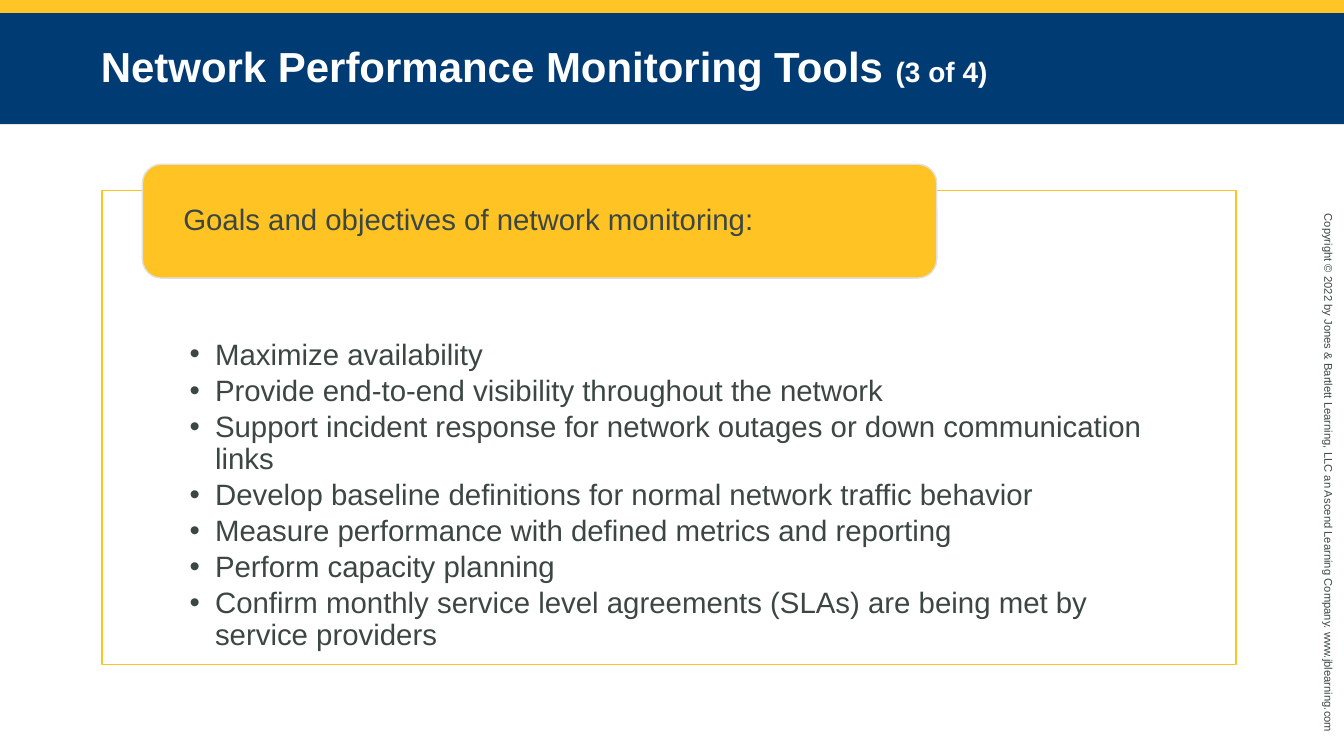
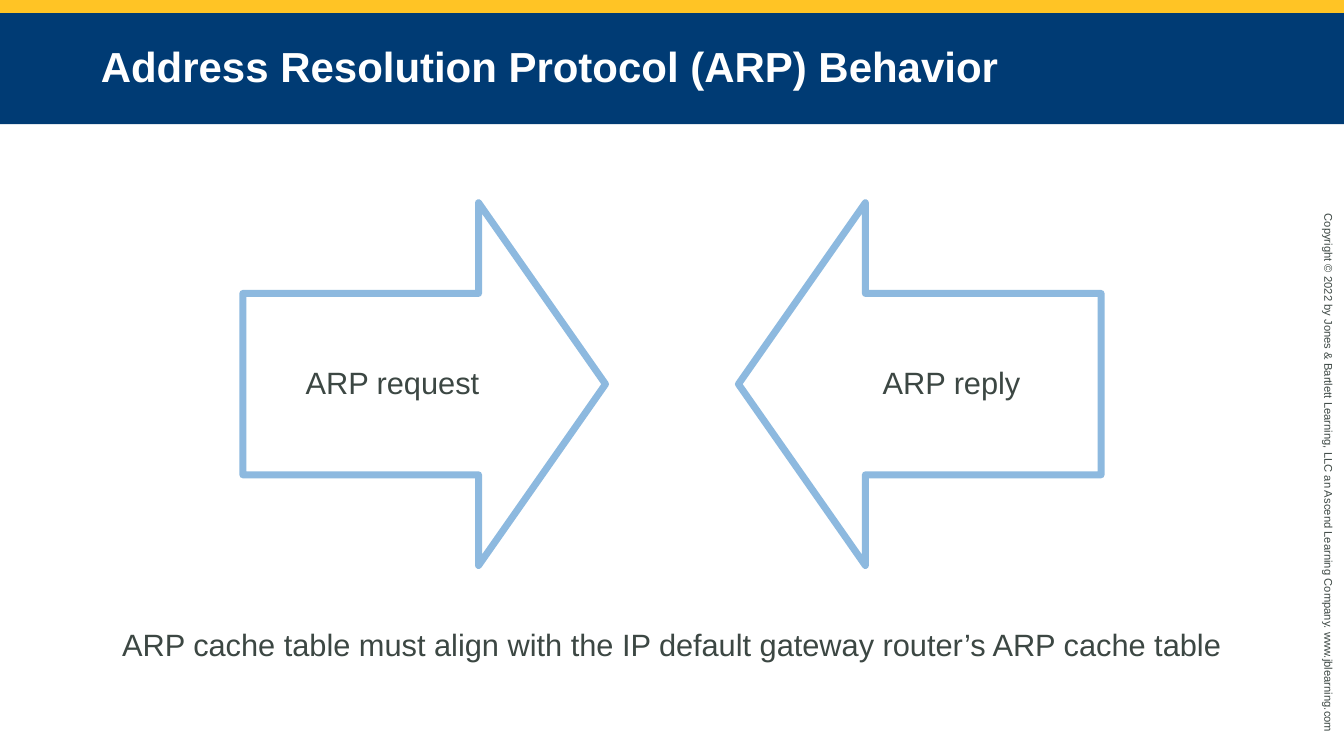
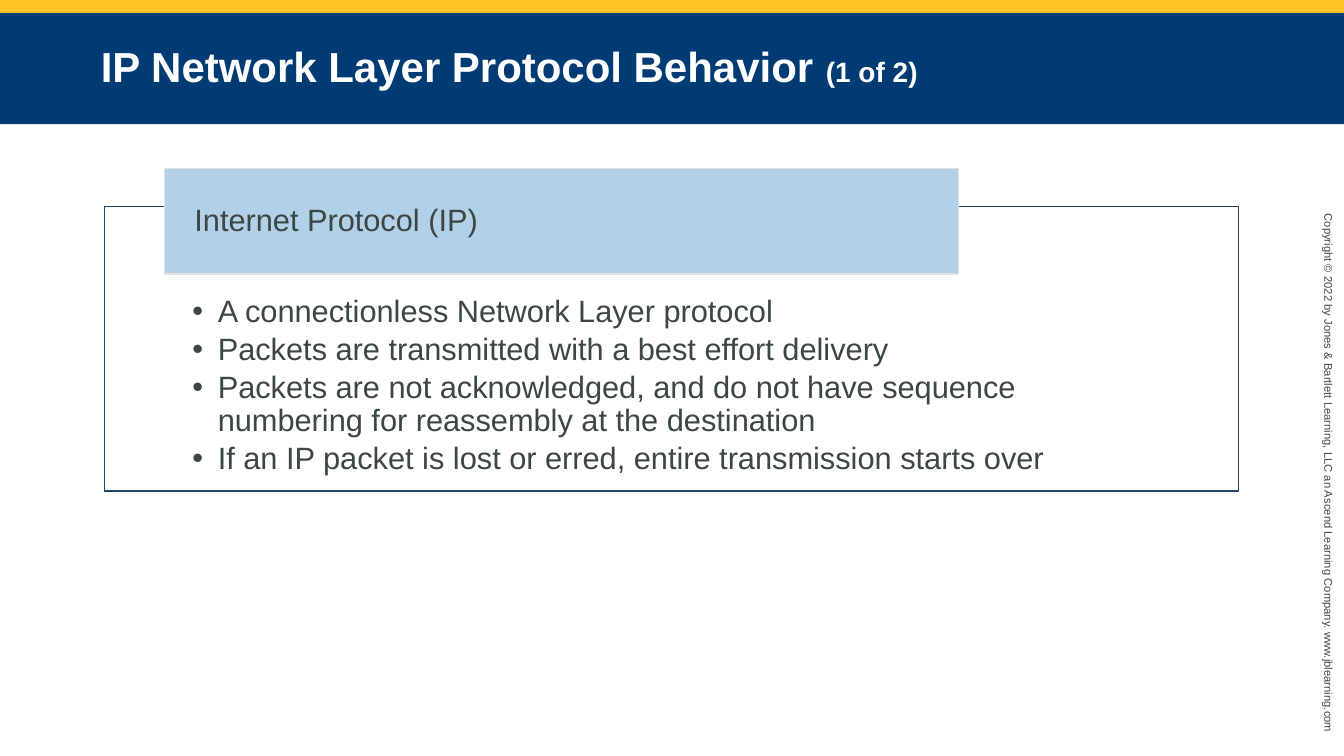
from lxml.etree import SubElement
from pptx import Presentation
from pptx.dml.color import RGBColor
from pptx.enum.shapes import MSO_SHAPE
from pptx.enum.text import MSO_ANCHOR, PP_ALIGN
from pptx.oxml.ns import qn
from pptx.util import Cm, Pt

SLIDE_W, SLIDE_H = 33.87, 19.05
FONT = "Arial"
WHITE, INK, NAVY = "FFFFFF", "3C4743", "003B74"
STRIPE, GOLD, FRAME_BLUE = "FFC425", "FFC324", "1D4568"
PALE_BLUE, ARROW_BLUE, LABEL_EDGE = "B3D0E9", "8DB9DF", "E1E1E1"
COPYRIGHT = ("Copyright © 2022 by Jones & Bartlett Learning, LLC an Ascend "
             "Learning Company. www.jblearning.com")


def color(hex_code):
    return RGBColor.from_string(hex_code)


def add_box(slide, box, kind=MSO_SHAPE.RECTANGLE, fill=None, line=None, width=1):
    shape = slide.shapes.add_shape(kind, *[Cm(length) for length in box])
    shape.shadow.inherit = False
    if fill:
        shape.fill.solid()
        shape.fill.fore_color.rgb = color(fill)
    else:
        shape.fill.background()
    if line:
        shape.line.color.rgb = color(line)
        shape.line.width = Pt(width)
    else:
        shape.line.fill.background()
    return shape


def set_frame(shape, insets, anchor=MSO_ANCHOR.MIDDLE):
    frame = shape.text_frame
    frame.word_wrap = True
    frame.vertical_anchor = anchor
    (frame.margin_left, frame.margin_top,
     frame.margin_right, frame.margin_bottom) = [Cm(inset) for inset in insets]
    return frame


def write(paragraph, runs, ink=INK, bold=False, align=PP_ALIGN.LEFT, spacing=0.9):
    paragraph.alignment = align
    paragraph.line_spacing = spacing
    for text, size in runs:
        run = paragraph.add_run()
        run.text = text
        run.font.name = FONT
        run.font.size = Pt(size)
        run.font.bold = bold
        run.font.color.rgb = color(ink)


def add_bullet(paragraph):
    properties = paragraph._p.get_or_add_pPr()
    properties.set("marL", str(Cm(0.64)))
    properties.set("indent", str(-Cm(0.64)))
    SubElement(properties, qn("a:buFont")).set("typeface", FONT)
    SubElement(properties, qn("a:buChar")).set("char", "•")


def add_text(slide, box, text, size, align=PP_ALIGN.LEFT):
    note = slide.shapes.add_textbox(*[Cm(length) for length in box])
    frame = set_frame(note, (0.25, 0.13, 0.25, 0.13), MSO_ANCHOR.TOP)
    write(frame.paragraphs[0], [(text, size)], align=align, spacing=1.0)
    return note


def start_slide(deck, title, part=None):
    slide = deck.slides.add_slide(deck.slide_layouts[6])
    # Gold stripe and copyright along the right edge
    add_box(slide, (0, 0, SLIDE_W, 0.33), fill=STRIPE)
    add_text(slide, (26.52, 11.79, 13.92, 0.61), COPYRIGHT, 8).rotation = 90
    # Title band
    band = add_box(slide, (0, 0.33, SLIDE_W, 2.8), fill=NAVY)
    runs = [(title + " ", 30), (part, 20)] if part else [(title, 30)]
    frame = set_frame(band, (2.54, 0.13, 2.54, 0.13))
    write(frame.paragraphs[0], runs, WHITE, bold=True, spacing=0.95)
    return slide


def add_panel(slide, box, heading, bullets, size, edge, text_top,
              label_kind, label_fill, label_offset, label_height, label_inset):
    """Outlined bullet list with a heading label over its top edge."""
    left, top = box[:2]
    panel = add_box(slide, box, line=edge)
    frame = set_frame(panel, (2.21, text_top, 2.21, 0.42), MSO_ANCHOR.TOP)
    for index, bullet in enumerate(bullets):
        paragraph = frame.add_paragraph() if index else frame.paragraphs[0]
        add_bullet(paragraph)
        write(paragraph, [(bullet, size)])
        paragraph.space_after = Pt(0.15 * size)
    # Heading label
    dx, dy = label_offset
    label = add_box(slide, (left + dx, top + dy, 20.02, label_height),
                    label_kind, label_fill, LABEL_EDGE)
    label_frame = set_frame(label, (label_inset, 0, label_inset, 0))
    write(label_frame.paragraphs[0], [(heading, size)])


def add_arrow_pair(slide, box, side):
    """Two facing arrows at the left and right ends of the box."""
    left, top, width = box
    arrows = [(left, MSO_SHAPE.RIGHT_ARROW, "ARP request"),
              (left + width - side, MSO_SHAPE.LEFT_ARROW, "ARP reply")]
    for x, kind, message in arrows:
        arrow = add_box(slide, (x, top, side, side), kind, line=ARROW_BLUE, width=5)
        arrow.adjustments[0] = 0.5
        arrow.adjustments[1] = 0.35
        frame = set_frame(arrow, [0.43] * 4)
        write(frame.paragraphs[0], [(message, 22)], align=PP_ALIGN.CENTER)


def monitoring_slide(deck):
    slide = start_slide(deck, "Network Performance Monitoring Tools", "(3 of 4)")
    goals = [
        "Maximize availability",
        "Provide end-to-end visibility throughout the network",
        "Support incident response for network outages or down communication links",
        "Develop baseline definitions for normal network traffic behavior",
        "Measure performance with defined metrics and reporting",
        "Perform capacity planning",
        "Confirm monthly service level agreements (SLAs) are being met by "
        "service providers",
    ]
    add_panel(slide, (2.57, 4.8, 28.58, 11.94),
              "Goals and objectives of network monitoring:", goals, 21,
              edge=GOLD, text_top=3.76,
              label_kind=MSO_SHAPE.ROUNDED_RECTANGLE, label_fill=GOLD,
              label_offset=(1.02, -0.66), label_height=2.87, label_inset=0.89)


def arp_slide(deck):
    slide = start_slide(deck, "Address Resolution Protocol (ARP) Behavior")
    margin = 6.12
    add_arrow_pair(slide, (margin, 5.11, SLIDE_W - 2 * margin), 9.14)
    add_text(slide, (2.03, 15.65, 29.8, 1.2),
             "ARP cache table must align with the IP default gateway "
             "router’s ARP cache table", 22, PP_ALIGN.CENTER)


def ip_slide(deck):
    slide = start_slide(deck, "IP Network Layer Protocol Behavior", "(1 of 2)")
    traits = [
        "A connectionless Network Layer protocol",
        "Packets are transmitted with a best effort delivery",
        "Packets are not acknowledged, and do not have sequence numbering for "
        "reassembly at the destination",
        "If an IP packet is lost or erred, entire transmission starts over",
    ]
    add_panel(slide, (2.64, 5.21, 28.58, 7.16),
              "Internet Protocol (IP)", traits, 22,
              edge=FRAME_BLUE, text_top=2.26,
              label_kind=MSO_SHAPE.RECTANGLE, label_fill=PALE_BLUE,
              label_offset=(1.5, -0.97), label_height=2.67, label_inset=0.76)


def main():
    deck = Presentation()
    deck.slide_width, deck.slide_height = Cm(SLIDE_W), Cm(SLIDE_H)
    monitoring_slide(deck)
    arp_slide(deck)
    ip_slide(deck)
    deck.save("out.pptx")


if __name__ == "__main__":
    main()
